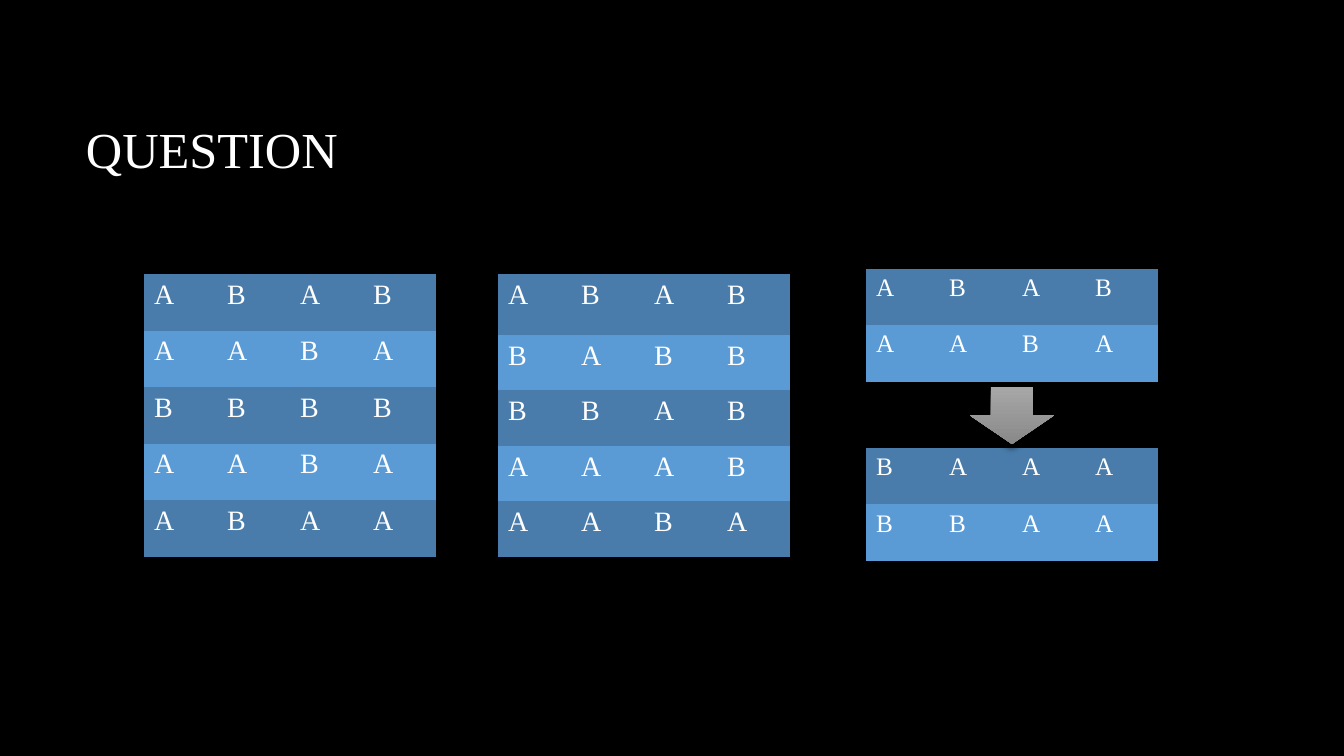
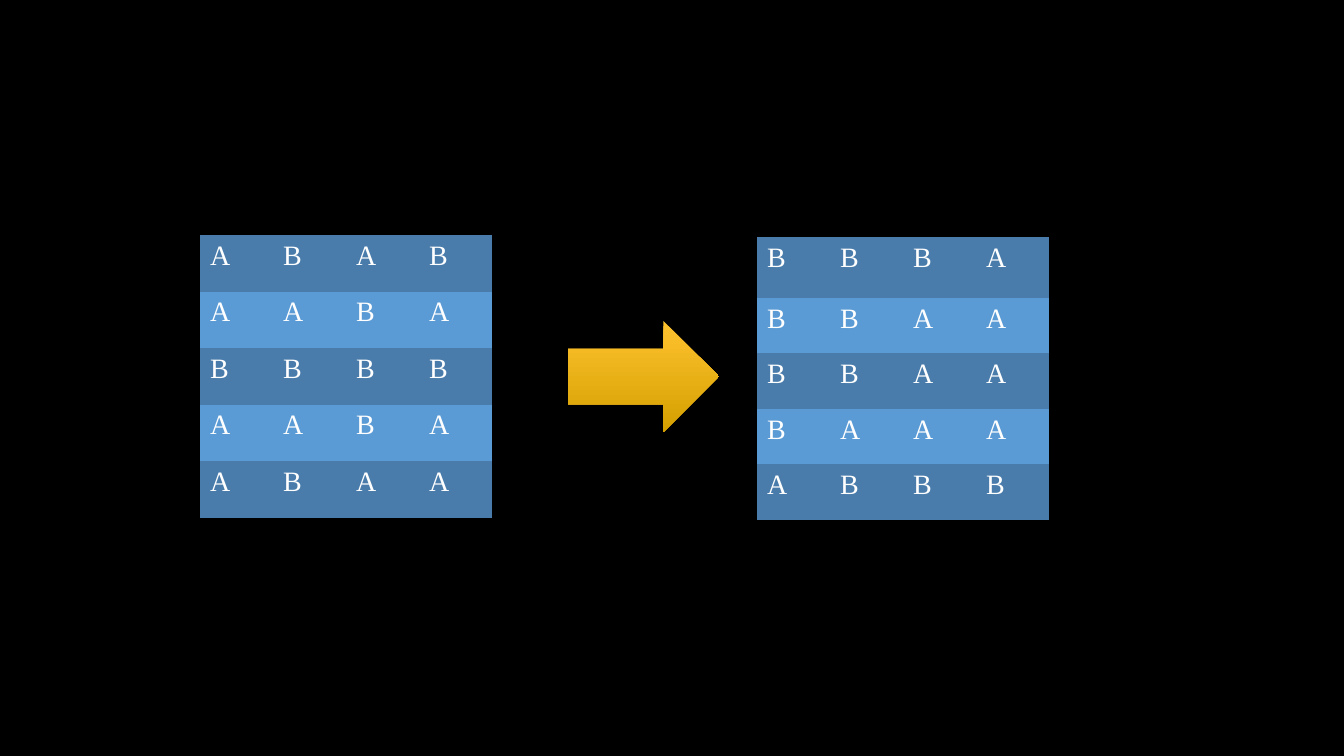
from lxml import etree
from pptx import Presentation
from pptx.dml.color import RGBColor
from pptx.enum.shapes import MSO_SHAPE
from pptx.enum.text import MSO_ANCHOR
from pptx.oxml.ns import qn
from pptx.util import Pt

DOWN = MSO_SHAPE.DOWN_ARROW
RIGHT = MSO_SHAPE.RIGHT_ARROW
MIDDLE = MSO_ANCHOR.MIDDLE
EMU_PER_PX = 914400 / 100.8
PLAIN_TABLE = "{2D5ABB26-0587-4C30-8999-92F81FD0307C}"


def px(n):
    return round(n * EMU_PER_PX)


def rgb(value):
    return RGBColor.from_string(value)


class Deck:
    FONT = "Times New Roman"
    BACKGROUND = "000000"
    TEXT = "FFFFFF"
    BANDS = ("497CAB", "5B9BD5")
    COLUMN = 73

    def __init__(self):
        self.prs = Presentation()
        self.prs.slide_width = px(1344)
        self.prs.slide_height = px(756)
        self.s = None

    def slide(self):
        self.s = self.prs.slides.add_slide(self.prs.slide_layouts[6])
        fill = self.s.background.fill
        fill.solid()
        fill.fore_color.rgb = rgb(self.BACKGROUND)

    def label(self, tf, text, size):
        tf.text = text
        font = tf.paragraphs[0].runs[0].font
        font.name = self.FONT
        font.size = Pt(size)
        font.color.rgb = rgb(self.TEXT)

    def title(self, text):
        sp = self.s.shapes.add_textbox(px(76), px(68), px(1117), px(160))
        tf = sp.text_frame
        tf.word_wrap = True
        tf.vertical_anchor = MIDDLE
        self.label(tf, text, 36)

    def grid(self, x, y, height, lines, first=None, size=20):
        rows = lines.split()
        cols = len(rows[0])
        heights = [height / len(rows)] * len(rows)
        if first:
            rest = (height - first) / (len(rows) - 1)
            heights = [first] + [rest] * (len(rows) - 1)
        frame = self.s.shapes.add_table(
            len(rows), cols, px(x), px(y), px(cols * self.COLUMN), px(height))
        table = frame.table
        table.first_row = False
        table.horz_banding = False
        table._tbl.tblPr.find(qn("a:tableStyleId")).text = PLAIN_TABLE
        for col in table.columns:
            col.width = px(self.COLUMN)
        for i, letters in enumerate(rows):
            table.rows[i].height = px(heights[i])
            for j, letter in enumerate(letters):
                cell = table.cell(i, j)
                cell.fill.solid()
                cell.fill.fore_color.rgb = rgb(self.BANDS[i % 2])
                self.label(cell.text_frame, letter, size)

    def arrow(self, kind, x, y, w, h, top, bottom):
        sp = self.s.shapes.add_shape(kind, px(x), px(y), px(w), px(h))
        sp.line.fill.background()
        sp.fill.gradient()
        sp.fill.gradient_angle = 270
        for stop, color in zip(sp.fill.gradient_stops, (top, bottom)):
            stop.color.rgb = rgb(color)
        self.shadow(sp)

    def shadow(self, sp):
        sp.shadow.inherit = False
        effects = sp._element.spPr.find(qn("a:effectLst"))
        outer = etree.SubElement(
            effects, qn("a:outerShdw"), blurRad=str(Pt(5)), dist=str(Pt(3)),
            dir="5400000", algn="ctr", rotWithShape="0")
        color = etree.SubElement(outer, qn("a:srgbClr"), val="000000")
        etree.SubElement(color, qn("a:alpha"), val="65000")


def main():
    start = "ABAB AABA BBBB AABA ABAA"
    deck = Deck()

    deck.slide()
    deck.title("QUESTION")
    deck.grid(144, 274, 283, start)
    deck.grid(498, 274, 283, "ABAB BABB BBAB AAAB AABA", first=61)
    deck.grid(866, 269, 113, "ABAB AABA", size=18)
    deck.grid(866, 448, 113, "BAAA BBAA", size=18)
    deck.arrow(DOWN, 970, 387, 84, 57, "A7A7A7", "898989")

    deck.slide()
    deck.grid(200, 235, 283, start)
    deck.grid(757, 237, 283, "BBBA BBAA BBAA BAAA ABBB", first=61)
    deck.arrow(RIGHT, 568, 321, 151, 111, "FFC22F", "D4A000")

    deck.prs.save("out.pptx")


if __name__ == "__main__":
    main()
